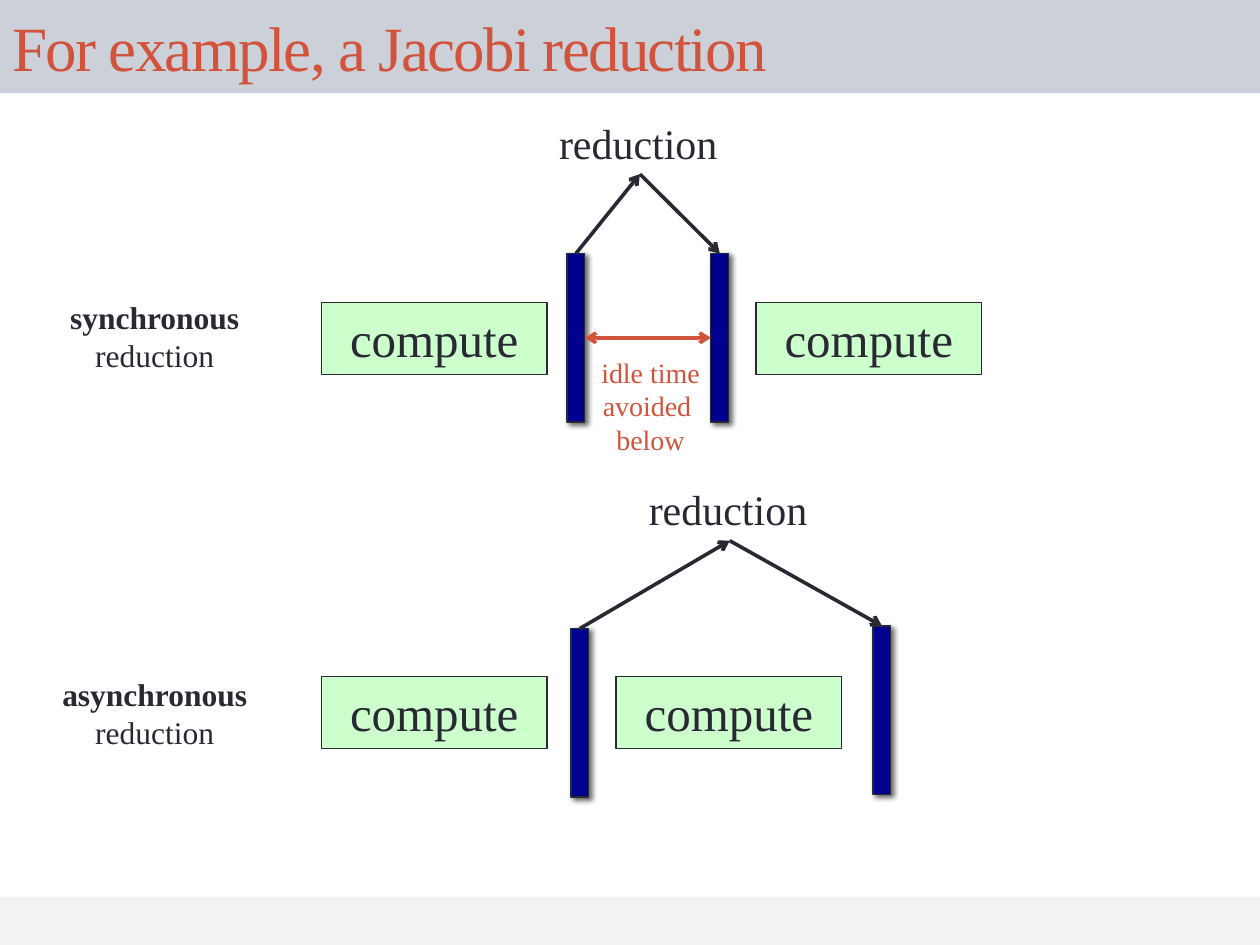
from dataclasses import dataclass

from lxml.etree import SubElement
from pptx import Presentation
from pptx.dml.color import RGBColor
from pptx.enum.shapes import MSO_CONNECTOR, MSO_SHAPE
from pptx.enum.text import MSO_ANCHOR, MSO_AUTO_SIZE, PP_ALIGN
from pptx.oxml.ns import qn
from pptx.util import Cm, Pt


@dataclass(frozen=True)
class Theme:
    font: str = "Times New Roman"
    ink: str = "292934"
    accent: str = "D2533C"
    band: str = "CCD1D9"
    footer: str = "F2F2F2"
    compute: str = "CCFFCC"
    barrier: str = "000090"
    title_size: int = 36
    compute_size: int = 28
    reduction_size: int = 24
    label_size: int = 18
    idle_size: int = 16
    outline: float = 0.75
    arrow: float = 2.08


THEME = Theme()

# Positions and sizes in centimetres
SLIDE_W, SLIDE_H = 25.4, 19.05
TITLE_H, FOOTER_TOP, FOOTER_H = 1.88, 18.08, 1.02
COMPUTE_W, COMPUTE_H = 4.55, 1.45
BARRIER_W, BARRIER_H = 0.36, 3.4
REDUCTION_W, REDUCTION_H = 3.76, 1.27
LABEL_CENTRE, LABEL_H = 3.12, 1.8

TITLE = "For example, a Jacobi reduction"
IDLE_TEXT = ["idle time ", "avoided ", "below"]
IDLE_BOX = (11.86, 7.04, 2.51, 2.31)
TIMELINES = [
    dict(label=["synchronous", "reduction"], label_top=5.89, label_width=3.96,
         compute_lefts=[6.48, 15.24], compute_top=6.1,
         barriers=[(11.43, 5.11), (14.33, 5.11)],
         reduction=(11.02, 2.24), idle=True),
    dict(label=["asynchronous", "reduction"], label_top=13.49, label_width=4.27,
         compute_lefts=[6.48, 12.42], compute_top=13.64,
         barriers=[(11.51, 12.67), (17.6, 12.62)],
         reduction=(12.83, 9.63), idle=False),
]


def color(hex_code):
    return RGBColor.from_string(hex_code)


def write(shape, lines, size, ink=THEME.ink, align=PP_ALIGN.CENTER):
    frame = shape.text_frame
    frame.text = "\n".join(lines)
    for paragraph in frame.paragraphs:
        paragraph.alignment = align
        for run in paragraph.runs:
            run.font.name = THEME.font
            run.font.size = Pt(size)
            run.font.color.rgb = color(ink)
    return frame


def add_label(slide, box, lines, size, ink=THEME.ink, align=PP_ALIGN.CENTER):
    label = slide.shapes.add_textbox(*map(Cm, box))
    frame = write(label, lines, size, ink, align)
    frame.word_wrap = False
    frame.auto_size = MSO_AUTO_SIZE.SHAPE_TO_FIT_TEXT
    return label


def add_block(slide, box, fill, outlined=True):
    block = slide.shapes.add_shape(MSO_SHAPE.RECTANGLE, *map(Cm, box))
    block.shadow.inherit = False
    block.fill.solid()
    block.fill.fore_color.rgb = color(fill)
    if outlined:
        block.line.color.rgb = color(THEME.ink)
        block.line.width = Pt(THEME.outline)
    else:
        block.line.fill.background()
    return block


def add_barrier(slide, left, top):
    """Draw a synchronisation bar with a soft shadow to its lower right."""
    barrier = add_block(slide, (left, top, BARRIER_W, BARRIER_H), THEME.barrier)
    effects = barrier._element.spPr.find(qn("a:effectLst"))
    shadow = SubElement(effects, qn("a:outerShdw"), blurRad=str(Pt(3)),
                        dist=str(Pt(2)), dir=str(45 * 60000), rotWithShape="0")
    black = SubElement(shadow, qn("a:srgbClr"), val="000000")
    SubElement(black, qn("a:alpha"), val="60000")
    return barrier


def connect(slide, start, start_side, end, end_side, ink=THEME.ink, both_ends=False):
    arrow = slide.shapes.add_connector(MSO_CONNECTOR.STRAIGHT, 0, 0, 0, 0)
    arrow.begin_connect(start, start_side)
    arrow.end_connect(end, end_side)
    arrow.line.color.rgb = color(ink)
    arrow.line.width = Pt(THEME.arrow)
    line = arrow.line._get_or_add_ln()
    for tip in ("a:headEnd", "a:tailEnd") if both_ends else ("a:tailEnd",):
        SubElement(line, qn(tip), type="arrow")
    SubElement(arrow._element.spPr, qn("a:effectLst"))


def add_title(slide):
    title = slide.shapes.title
    title.left, title.top, title.width, title.height = map(
        Cm, (0, 0, SLIDE_W, TITLE_H))
    title.fill.solid()
    title.fill.fore_color.rgb = color(THEME.band)
    frame = write(title, [TITLE], THEME.title_size, THEME.accent, PP_ALIGN.LEFT)
    frame.vertical_anchor = MSO_ANCHOR.MIDDLE
    frame.auto_size = MSO_AUTO_SIZE.NONE
    frame.paragraphs[0].runs[0].font._element.set("spc", "-100")


def add_timeline(slide, timeline):
    for left in timeline["compute_lefts"]:
        box = (left, timeline["compute_top"], COMPUTE_W, COMPUTE_H)
        write(add_block(slide, box, THEME.compute), ["compute"],
              THEME.compute_size).vertical_anchor = MSO_ANCHOR.TOP

    width = timeline["label_width"]
    label = add_label(slide, (LABEL_CENTRE - width / 2, timeline["label_top"],
                              width, LABEL_H), timeline["label"], THEME.label_size)
    label.text_frame.paragraphs[0].runs[0].font.bold = True

    first, second = [add_barrier(slide, *corner) for corner in timeline["barriers"]]
    if timeline["idle"]:
        add_label(slide, IDLE_BOX, IDLE_TEXT, THEME.idle_size, THEME.accent)
        connect(slide, first, 3, second, 1, THEME.accent, both_ends=True)

    reduction = add_label(slide, (*timeline["reduction"], REDUCTION_W, REDUCTION_H),
                          ["reduction"], THEME.reduction_size, align=PP_ALIGN.LEFT)
    connect(slide, first, 0, reduction, 2)
    connect(slide, reduction, 2, second, 0)


def main():
    deck = Presentation()
    deck.slide_width, deck.slide_height = Cm(SLIDE_W), Cm(SLIDE_H)
    slide = deck.slides.add_slide(deck.slide_layouts[5])
    add_block(slide, (0, FOOTER_TOP, SLIDE_W, FOOTER_H), THEME.footer, outlined=False)
    add_title(slide)
    for timeline in TIMELINES:
        add_timeline(slide, timeline)
    deck.save("out.pptx")


if __name__ == "__main__":
    main()
